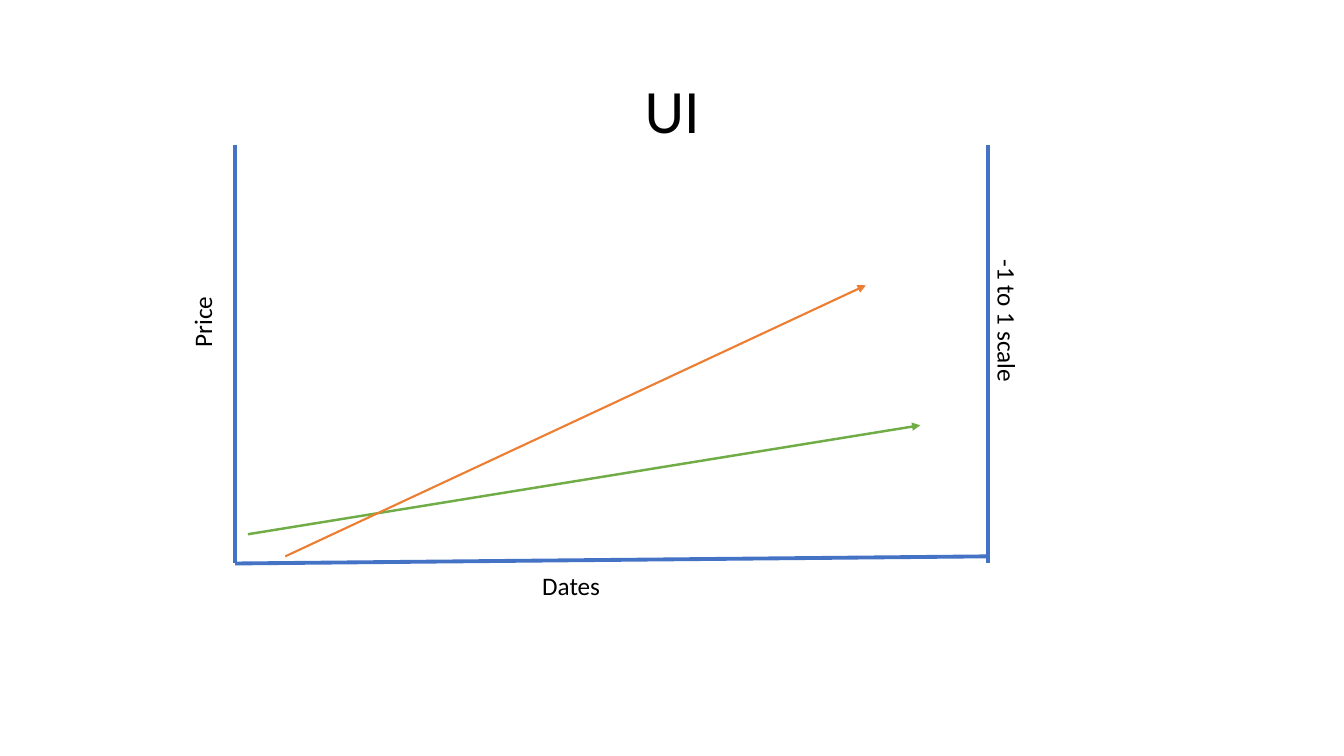
from dataclasses import dataclass

from lxml.etree import SubElement
from pptx import Presentation
from pptx.dml.color import RGBColor
from pptx.enum.shapes import MSO_CONNECTOR
from pptx.enum.text import MSO_ANCHOR, MSO_AUTO_SIZE, PP_ALIGN
from pptx.oxml.ns import qn
from pptx.slide import Slide
from pptx.util import Pt

COLORS = {"axis": "4472C4", "green": "70AD47", "orange": "ED7D31", "text": "000000"}
FONT = "Calibri"

AXIS_LEFT, AXIS_RIGHT = 168, 705.6
AXIS_TOP, AXIS_BOTTOM = 103.7, 402.5
BASELINE_END = 397.4


@dataclass(frozen=True)
class Line:
    start: tuple[float, float]
    end: tuple[float, float]
    color: str
    width: float
    arrow: bool = False


@dataclass(frozen=True)
class Label:
    text: str
    left: float
    top: float
    width: float
    height: float = 28.8
    rotation: float = 0


LINES = [
    Line((AXIS_LEFT, AXIS_TOP), (AXIS_LEFT, AXIS_BOTTOM), "axis", 3.25),
    Line((AXIS_LEFT, AXIS_BOTTOM), (AXIS_RIGHT, BASELINE_END), "axis", 2.75),
    Line((177.1, 381.6), (657.4, 303.8), "green", 1.75, True),
    Line((203.8, BASELINE_END), (618.5, 203.8), "orange", 1.5, True),
    Line((AXIS_RIGHT, AXIS_TOP), (AXIS_RIGHT, AXIS_BOTTOM), "axis", 3.25),
]

TITLE = Label("UI", 66.2, 28.8, 828, 104.4)
AXIS_LABELS = [
    Label("Dates", 380.2, 403.9, 56.2),
    Label("-1 to 1 scale", 668.2, 215.3, 103, rotation=90),
    Label("Price", 118.8, 215.3, 51.1, rotation=270),
]


def draw_line(slide: Slide, line: Line) -> None:
    connector = slide.shapes.add_connector(
        MSO_CONNECTOR.STRAIGHT, *map(Pt, line.start + line.end)
    )
    connector.line.color.rgb = RGBColor.from_string(COLORS[line.color])
    connector.line.width = Pt(line.width)
    if line.arrow:
        SubElement(connector.line._get_or_add_ln(), qn("a:tailEnd"), type="triangle")
    SubElement(connector._element.spPr, qn("a:effectLst"))


def draw_label(slide: Slide, label: Label, size: float):
    shape = slide.shapes.add_textbox(
        Pt(label.left), Pt(label.top), Pt(label.width), Pt(label.height)
    )
    shape.rotation = label.rotation
    text_frame = shape.text_frame
    text_frame.text = label.text
    text_frame.word_wrap = False
    font = text_frame.paragraphs[0].runs[0].font
    font.name = FONT
    font.size = Pt(size)
    font.color.rgb = RGBColor.from_string(COLORS["text"])
    return text_frame


def draw_title(slide: Slide) -> None:
    text_frame = draw_label(slide, TITLE, 44)
    text_frame.word_wrap = True
    text_frame.vertical_anchor = MSO_ANCHOR.MIDDLE
    paragraph = text_frame.paragraphs[0]
    paragraph.alignment = PP_ALIGN.CENTER
    paragraph.line_spacing = 0.9


def main() -> None:
    presentation = Presentation()
    presentation.slide_width = Pt(960)
    presentation.slide_height = Pt(540)
    slide = presentation.slides.add_slide(presentation.slide_layouts[6])

    draw_title(slide)
    for line in LINES:
        draw_line(slide, line)
    for label in AXIS_LABELS:
        draw_label(slide, label, 18).auto_size = MSO_AUTO_SIZE.SHAPE_TO_FIT_TEXT

    presentation.save("out.pptx")


if __name__ == "__main__":
    main()
